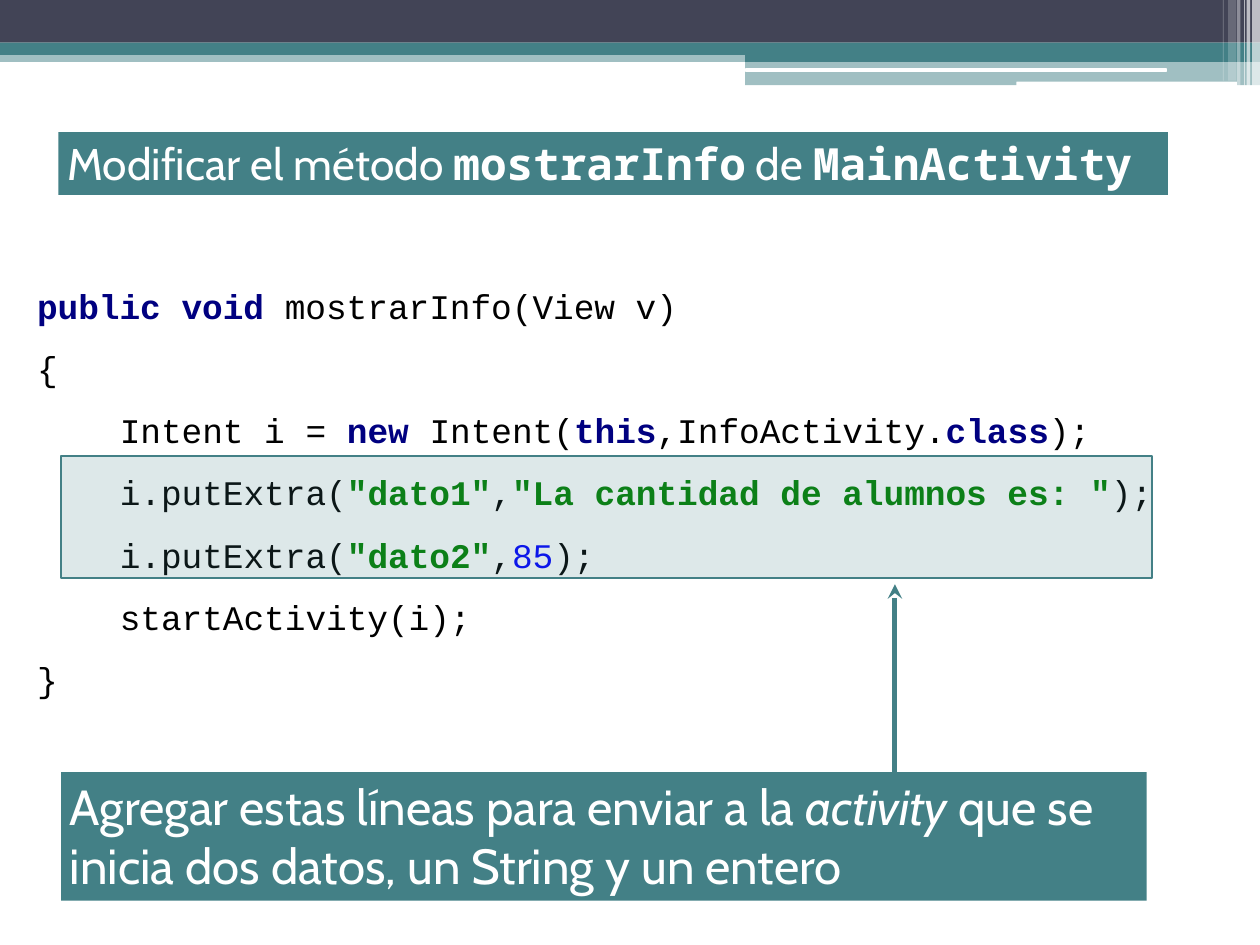
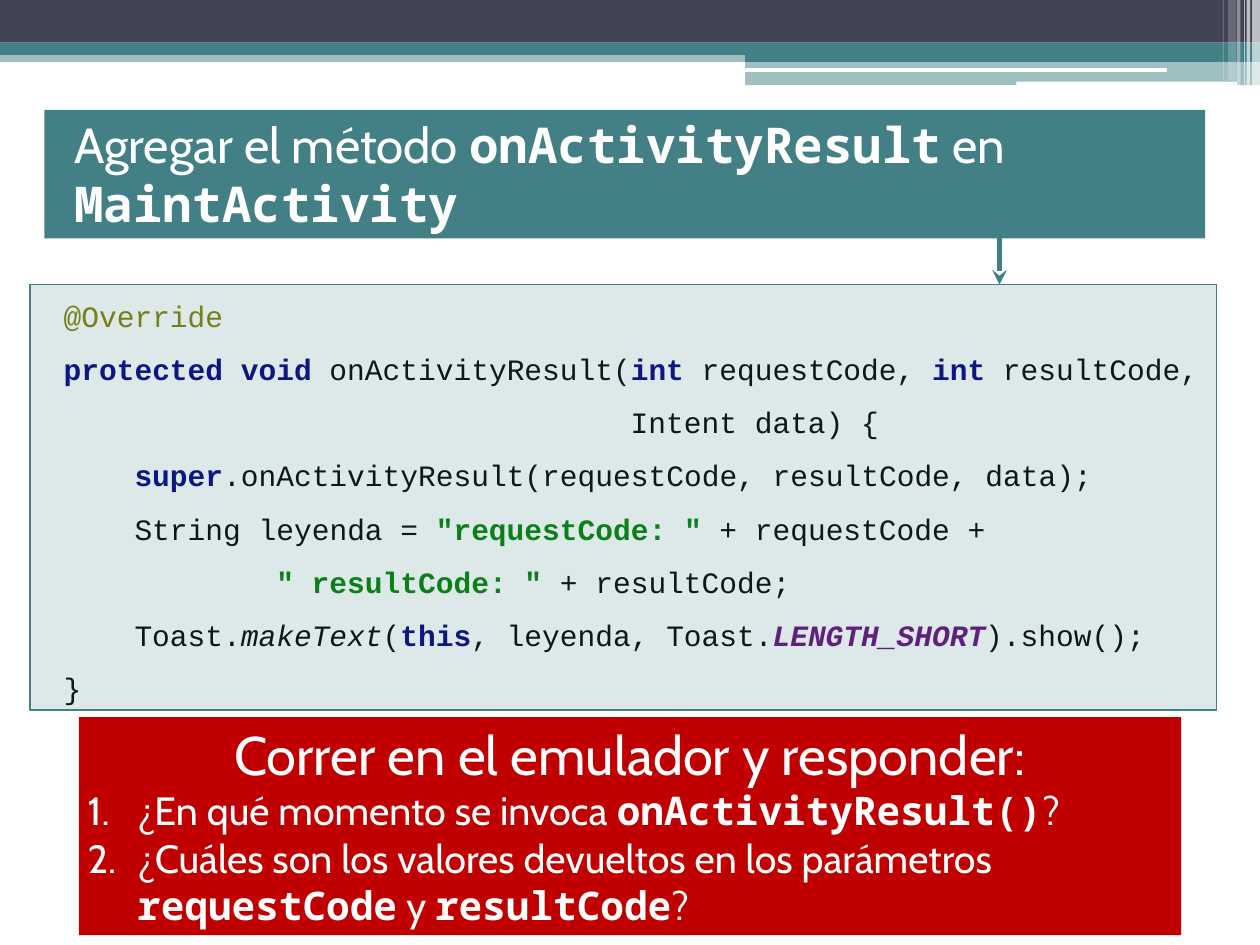
import lxml.etree
import pptx
import pptx.dml.color
import pptx.enum.shapes
import pptx.enum.text
import pptx.oxml.ns
import pptx.util

PX = 9144
SLIDE_WIDTH, SLIDE_HEIGHT = 1422, 1066
TITLE_ONLY = 5
CODE_CHARACTER_RATIO = 0.6

COLORS = {
    "teal": "438086",
    "slate": "424456",
    "white": "FFFFFF",
    "red": "C00000",
    "black": "000000",
    "navy": "000080",
    "green": "008000",
    "blue": "0000FF",
    "olive": "808000",
    "purple": "660E7A",
}

PROSE = {"name": "Cabin", "color": "white"}
CODE = {"name": "Courier New", "color": "black"}
STYLES = {
    "mono": {"name": "Noto Sans Mono", "bold": True},
    "emphasis": {"italic": True},
    "keyword": {"color": "navy", "bold": True},
    "string": {"color": "green", "bold": True},
    "number": {"color": "blue"},
    "annotation": {"color": "olive"},
    "constant": {"color": "purple", "bold": True, "italic": True},
}

HEADER_BANDS = [
    ((0, 57, 1422, 13), "teal", 50),
    ((0, 0, 1422, 48), "slate", 100),
    ((0, 48, 1422, 14), "teal", 100),
    ((841, 56, 581, 14), "teal", 100),
    ((841, 68, 581, 28), "teal", 50),
]
HEADER_RULES = [(841, 77, 476, 4), (1147, 92, 249, 6)]
HEADER_STRIPES = [
    (1413, 9, 97, 65),
    (1407, 4, 97, 65),
    (1404, 1, 97, 60),
    (1396, 4, 97, 40),
    (1386, 9, 91, 20),
    (1380, 1, 91, 30),
]

SHOW_INFO_CODE = [
    (0, [("public void ", "keyword"), "mostrarInfo(View v)"]),
    (0, ["{"]),
    (4, ["Intent i = ", ("new ", "keyword"), "Intent(", ("this", "keyword"),
         ",InfoActivity.", ("class", "keyword"), ");"]),
    (4, ["i.putExtra(", ("\"dato1\"", "string"), ",",
         ("\"La cantidad de alumnos es: \"", "string"), ");"]),
    (4, ["i.putExtra(", ("\"dato2\"", "string"), ",", ("85", "number"), ");"]),
    (4, ["startActivity(i);"]),
    (0, ["}"]),
]
ACTIVITY_RESULT_CODE = [
    (0, [("@Override", "annotation")]),
    (0, [("protected void ", "keyword"), "onActivityResult(", ("int ", "keyword"),
         "requestCode, ", ("int ", "keyword"), "resultCode,"]),
    (32, ["Intent data) {"]),
    (4, [("super", "keyword"), ".onActivityResult(requestCode, resultCode, data);"]),
    (4, ["String leyenda = ", ("\"requestCode: \" ", "string"), "+ requestCode +"]),
    (12, [("\" resultCode: \" ", "string"), "+ resultCode;"]),
    (4, ["Toast.", ("makeText", "emphasis"), "(", ("this", "keyword"),
         ", leyenda, Toast.", ("LENGTH_SHORT", "constant"), ").show();"]),
    (0, ["}"]),
]


def rgb(color):
    return pptx.dml.color.RGBColor.from_string(COLORS[color])


def emu(box):
    return [length * PX for length in box]


def add_child(parent, tag, **attributes):
    child = lxml.etree.SubElement(parent, pptx.oxml.ns.qn(tag))
    for name, value in attributes.items():
        child.set(name, value)
    return child


def fill_shape(shape, color, opacity=100):
    shape.fill.solid()
    shape.fill.fore_color.rgb = rgb(color)
    if opacity < 100:
        fill_color = shape.element.xpath("./p:spPr/a:solidFill/a:srgbClr")[0]
        add_child(fill_color, "a:alpha", val=str(opacity * 1000))


def add_block(slide, box, color, opacity=100, outline=None, rounded=False):
    kinds = pptx.enum.shapes.MSO_SHAPE
    kind = kinds.ROUNDED_RECTANGLE if rounded else kinds.RECTANGLE
    shape = slide.shapes.add_shape(kind, *emu(box))
    shape.shadow.inherit = False
    fill_shape(shape, color, opacity)
    if outline:
        shape.line.color.rgb = rgb(outline)
        shape.line.width = pptx.util.Pt(1.5)
    else:
        shape.line.fill.background()
    return shape


def add_arrow(slide, x, start_y, end_y):
    straight = pptx.enum.shapes.MSO_CONNECTOR.STRAIGHT
    arrow = slide.shapes.add_connector(straight, *emu((x, start_y, x, end_y)))
    arrow.line.color.rgb = rgb("teal")
    arrow.line.width = pptx.util.Pt(4)
    add_child(arrow.line._get_or_add_ln(), "a:tailEnd", type="stealth")
    add_child(arrow.element.spPr, "a:effectLst")


def add_run(paragraph, text, formats):
    run = paragraph.add_run()
    run.text = text
    for name, value in formats.items():
        if name == "color":
            run.font.color.rgb = rgb(value)
        elif name == "size":
            run.font.size = pptx.util.Pt(value)
        else:
            setattr(run.font, name, value)


def write_paragraphs(shape, paragraphs, base, anchor="TOP"):
    frame = shape.text_frame
    frame_formats = {
        "word_wrap": True,
        "auto_size": pptx.enum.text.MSO_AUTO_SIZE.NONE,
        "vertical_anchor": pptx.enum.text.MSO_ANCHOR[anchor],
    }
    for name, value in frame_formats.items():
        setattr(frame, name, value)
    for index, (runs, options) in enumerate(paragraphs):
        paragraph = frame.add_paragraph() if index else frame.paragraphs[0]
        paragraph.alignment = pptx.enum.text.PP_ALIGN[options.get("align", "LEFT")]
        paragraph.line_spacing = options.get("spacing", 1.0)
        properties = paragraph._p.get_or_add_pPr()
        properties.set("marL", str(options.get("margin", 0)))
        properties.set("indent", str(options.get("indent", 0)))
        if options.get("numbered"):
            add_child(properties, "a:buFont", typeface="+mj-lt")
            add_child(properties, "a:buAutoNum", type="arabicPeriod")
        size = {"size": options["size"]}
        for run in runs:
            text, style = (run, None) if isinstance(run, str) else run
            add_run(paragraph, text, {**base, **size, **STYLES.get(style, {})})


def place_title(slide, box, paragraphs):
    title = slide.shapes.title
    for name, value in zip(("left", "top", "width", "height"), emu(box)):
        setattr(title, name, value)
    fill_shape(title, "teal")
    write_paragraphs(title, paragraphs, PROSE)


def add_panel(slide, box, color, paragraphs):
    panel = slide.shapes.add_textbox(*emu(box))
    fill_shape(panel, color)
    write_paragraphs(panel, paragraphs, PROSE)


def add_code(slide, box, lines, size):
    code = slide.shapes.add_textbox(*emu(box))
    fill_shape(code, "white")
    character = pptx.util.Pt(size * CODE_CHARACTER_RATIO)
    paragraphs = [
        (runs, {"size": size, "spacing": 1.5, "margin": columns * character})
        for columns, runs in lines
    ]
    write_paragraphs(code, paragraphs, CODE, "MIDDLE")


def add_highlight(slide, box):
    add_block(slide, box, "teal", 18, outline="teal")


def build_header(layout, slide):
    shapes = [add_block(slide, *band) for band in HEADER_BANDS]
    shapes += [add_block(slide, box, "white", rounded=True) for box in HEADER_RULES]
    shapes += [
        add_block(slide, (left, 0, width, height), "white", opacity)
        for left, width, height, opacity in HEADER_STRIPES
    ]
    for index, shape in enumerate(shapes):
        shape.element.xpath("./p:nvSpPr/p:cNvPr")[0].set("id", str(100 + index))
        layout.element.cSld.spTree.insert(2 + index, shape.element)


def build_send_slide(slide):
    place_title(slide, (66, 149, 1252, 71), [
        (["Modificar el método ", ("mostrarInfo", "mono"), " de ",
          ("MainActivity", "mono")], {"size": 36}),
    ])
    add_code(slide, (32, 291, 1317, 505), SHOW_INFO_CODE, 28)
    add_arrow(slide, 1010, 895, 659)
    add_panel(slide, (69, 871, 1225, 145), "teal", [
        (["Agregar estas líneas para enviar a la ", ("activity", "emphasis"),
          " que se inicia dos datos, un String y un entero"], {"size": 40}),
    ])
    add_highlight(slide, (69, 514, 1231, 138))


def build_result_slide(slide):
    title_format = {"size": 40, "margin": 24 * PX}
    question_format = {"size": 32, "margin": 56 * PX, "indent": -56 * PX,
                       "numbered": True}
    place_title(slide, (50, 124, 1310, 145), [
        (["Agregar el método ", ("onActivityResult", "mono"), " en"], title_format),
        ([("MaintActivity", "mono")], title_format),
    ])
    add_code(slide, (62, 311, 1310, 490), ACTIVITY_RESULT_CODE, 24)
    add_arrow(slide, 1128, 221, 321)
    add_highlight(slide, (34, 321, 1339, 480))
    add_panel(slide, (89, 809, 1244, 246), "red", [
        (["Correr en el emulador y responder:"], {"size": 44, "align": "CENTER"}),
        (["¿En qué momento se invoca ", ("onActivityResult()", "mono"), "?"],
         question_format),
        (["¿Cuáles son los valores devueltos en los parámetros ",
          ("requestCode", "mono"), " y ", ("resultCode", "mono"), "?"],
         question_format),
    ])


def main():
    presentation = pptx.Presentation()
    presentation.slide_width = SLIDE_WIDTH * PX
    presentation.slide_height = SLIDE_HEIGHT * PX
    layout = presentation.slide_layouts[TITLE_ONLY]
    send_slide = presentation.slides.add_slide(layout)
    build_header(layout, send_slide)
    build_send_slide(send_slide)
    build_result_slide(presentation.slides.add_slide(layout))
    presentation.save("out.pptx")


if __name__ == "__main__":
    main()
